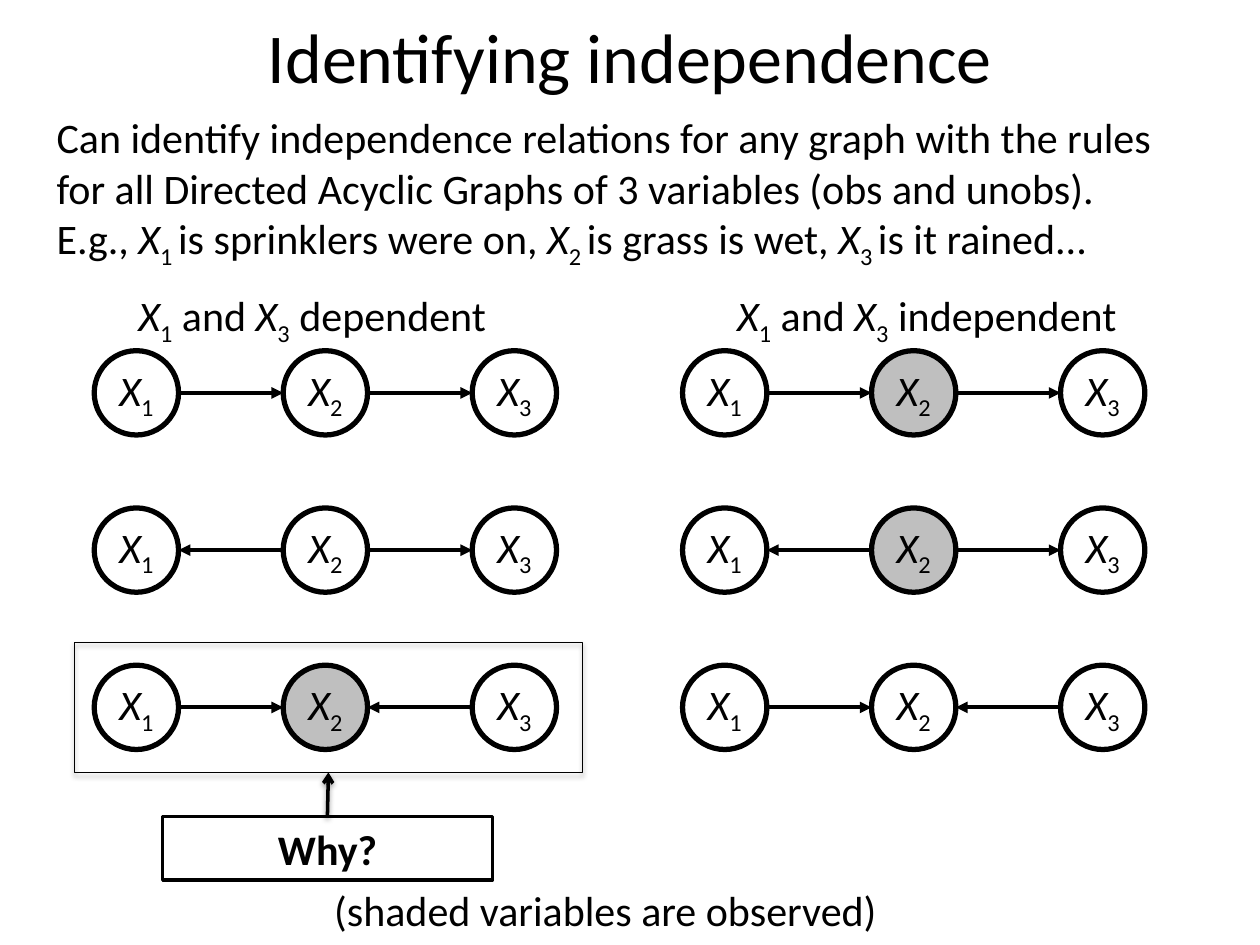
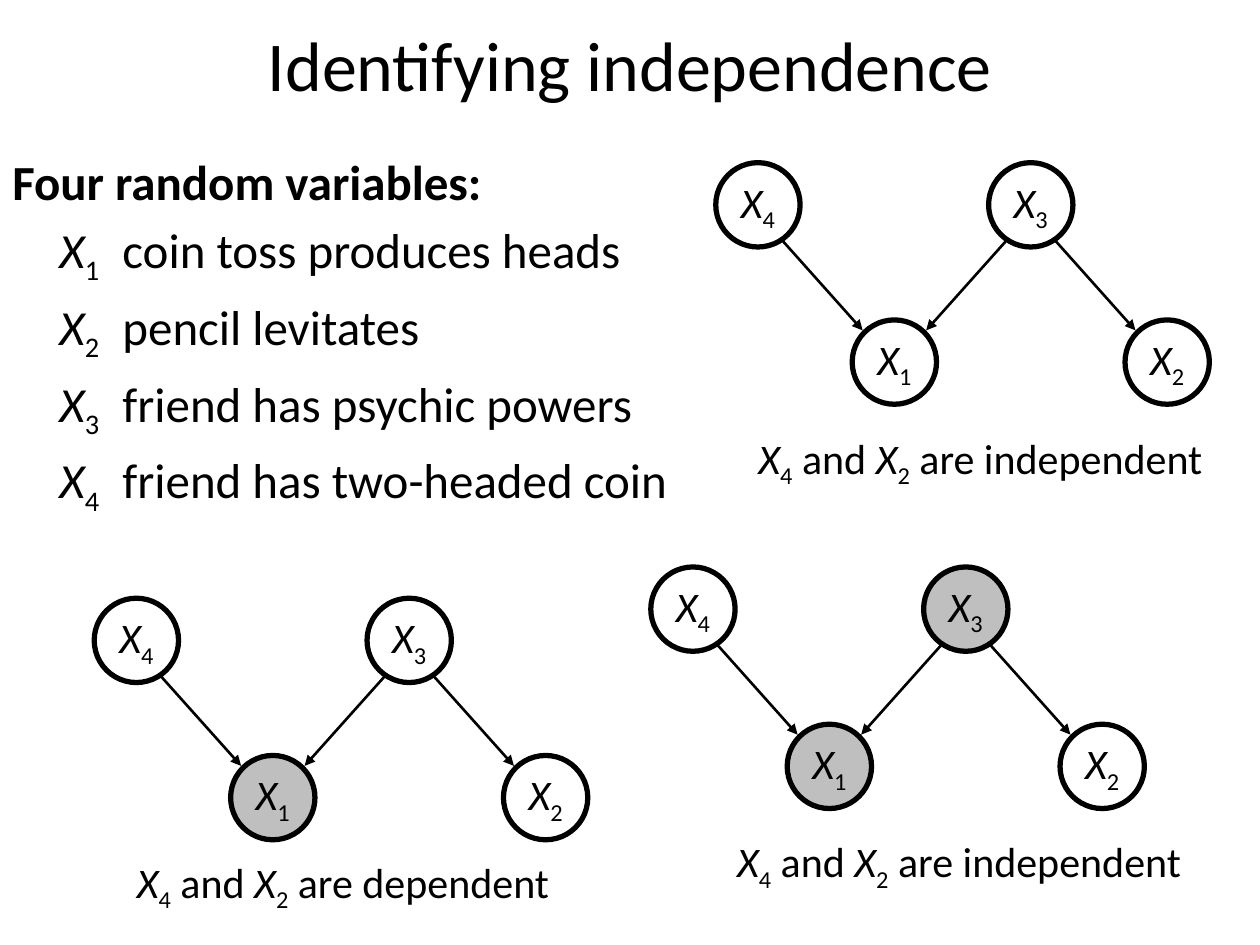
from lxml.etree import SubElement
from pptx import Presentation
from pptx.dml.color import RGBColor
from pptx.enum.shapes import MSO_CONNECTOR, MSO_SHAPE
from pptx.enum.text import MSO_ANCHOR, PP_ALIGN
from pptx.oxml.ns import qn
from pptx.util import Cm, Pt

FONT = "Calibri"
BLACK, WHITE, SHADED = "000000", "FFFFFF", "BFBFBF"
RADIUS = 0.85
CHAIN_STEP = 3.81
ROW_STEP = 3.17
HALF_STEP = 2.75
LEFT, CENTER = PP_ALIGN.LEFT, PP_ALIGN.CENTER


def color(hex_string):
    return RGBColor.from_string(hex_string)


def add_run(paragraph, text, italic=False, subscript=False):
    if not text:
        return
    run = paragraph.add_run()
    run.text = text
    if italic:
        run.font.italic = True
    if subscript:
        run._r.get_or_add_rPr().set("baseline", "-25000")


def write(paragraph, text, size=24, align=LEFT, bold=False):
    paragraph.alignment = align
    font = paragraph.font
    font.name, font.size, font.bold = FONT, Pt(size), bold
    font.color.rgb = color(BLACK)
    start, *variables = text.split("X[")
    add_run(paragraph, start)
    for variable in variables:
        index, _, rest = variable.partition("]")
        add_run(paragraph, "X", italic=True)
        add_run(paragraph, index, subscript=True)
        add_run(paragraph, rest)


def add_text(slide, left, top, width, height, lines, **style):
    box = slide.shapes.add_textbox(Cm(left), Cm(top), Cm(width), Cm(height))
    frame = box.text_frame
    frame.word_wrap = True
    for number, line in enumerate(lines):
        paragraph = frame.add_paragraph() if number else frame.paragraphs[0]
        write(paragraph, line, **style)
    return frame


def add_title(slide, height):
    frame = add_text(slide, 0, 0.1, 25.4, height, ["Identifying independence"],
                     size=40, align=CENTER)
    frame.vertical_anchor = MSO_ANCHOR.MIDDLE


def add_shape(slide, kind, left, top, width, height, fill, line_width):
    shape = slide.shapes.add_shape(kind, Cm(left), Cm(top), Cm(width), Cm(height))
    shape.shadow.inherit = False
    if fill:
        shape.fill.solid()
        shape.fill.fore_color.rgb = color(fill)
    else:
        shape.fill.background()
    shape.line.color.rgb = color(BLACK)
    shape.line.width = Pt(line_width)
    return shape


def add_node(slide, index, x, y, shaded):
    node = add_shape(slide, MSO_SHAPE.OVAL, x - RADIUS, y - RADIUS, 2 * RADIUS,
                     2 * RADIUS, SHADED if shaded else WHITE, 3)
    node.text_frame.word_wrap = False
    write(node.text_frame.paragraphs[0], f"X[{index}]", align=CENTER)


def add_arrow(slide, start, end, width, head="triangle"):
    points = [Cm(value) for value in (*start, *end)]
    arrow = slide.shapes.add_connector(MSO_CONNECTOR.STRAIGHT, *points)
    arrow.line.color.rgb = color(BLACK)
    arrow.line.width = Pt(width)
    SubElement(arrow.line._get_or_add_ln(), qn("a:tailEnd"), type=head)
    SubElement(arrow._element.spPr, qn("a:effectLst"))
    return arrow


def add_shadow(shape, distance, opacity):
    effects = shape._element.spPr.find(qn("a:effectLst"))
    shadow = SubElement(effects, qn("a:outerShdw"), blurRad=str(Pt(3.1)),
                        dist=str(Pt(distance)), dir="5400000", rotWithShape="0")
    tint = SubElement(shadow, qn("a:srgbClr"), val=BLACK)
    SubElement(tint, qn("a:alpha"), val=str(opacity * 1000))


def add_chain(slide, x, y, directions, shaded):
    for position in range(3):
        add_node(slide, position + 1, x + position * CHAIN_STEP, y,
                 shaded and position == 1)
    for position, direction in enumerate(directions):
        first = x + position * CHAIN_STEP
        ends = [(first + RADIUS, y), (first + CHAIN_STEP - RADIUS, y)]
        if direction == "<":
            ends.reverse()
        add_arrow(slide, *ends, 2.25)


def add_network(slide, x, y, shaded=()):
    centers = {4: (x, y), 3: (x + 2 * HALF_STEP, y),
               1: (x + HALF_STEP, y + ROW_STEP), 2: (x + 3 * HALF_STEP, y + ROW_STEP)}
    for parent, child in ((4, 1), (3, 2), (3, 1)):
        (parent_x, parent_y), (child_x, child_y) = centers[parent], centers[child]
        side = 1 if child_x > parent_x else -1
        add_arrow(slide, (parent_x + side * 0.42, parent_y + 0.64),
                  (child_x - side * 0.64, child_y - 0.64), 1.5)
    for index, (node_x, node_y) in centers.items():
        add_node(slide, index, node_x, node_y, index in shaded)


def add_why_callout(slide):
    frame = add_shape(slide, MSO_SHAPE.RECTANGLE, 1.5, 12.95, 10.24, 2.62, None, 0.75)
    add_shadow(frame, 1.8, 35)
    question = add_shape(slide, MSO_SHAPE.RECTANGLE, 3.28, 16.46, 6.65, 1.28, WHITE, 2)
    write(question.text_frame.paragraphs[0], "Why?", align=CENTER, bold=True)
    arrow = add_arrow(slide, (6.6, 16.46), (6.62, 15.57), 2, "arrow")
    add_shadow(arrow, 1.6, 38)


def build_chain_slide(slide):
    add_title(slide, 2.03)
    add_text(slide, 0.89, 2.13, 22.81, 3.33, [
        "Can identify independence relations for any graph with the rules "
        "for all Directed Acyclic Graphs of 3 variables (obs and unobs).",
        "E.g., X[1 ]is sprinklers were on, X[2 ]is grass is wet, X[3 ]is it rained..."])
    add_text(slide, 2.54, 5.72, 7.75, 1.27, ["X[1] and X[3] dependent"])
    add_text(slide, 14.61, 5.72, 8.38, 1.27, ["X[1] and X[3] independent"])
    for row, directions in enumerate((">>", "<>", "><")):
        y = 7.92 + row * ROW_STEP
        collider = directions == "><"
        add_chain(slide, 2.75, y, directions, shaded=collider)
        add_chain(slide, 14.61, y, directions, shaded=not collider)
    add_why_callout(slide)
    add_text(slide, 2.82, 17.7, 18.77, 1.27, ["(shaded variables are observed)"],
             align=CENTER)


def build_network_slide(slide):
    add_title(slide, 2.36)
    frame = add_text(slide, 0, 2.92, 16.59, 7.42, [
        "Four random variables:",
        "X[1]\tcoin toss produces heads",
        "X[2]\tpencil levitates",
        "X[3]\tfriend has psychic powers",
        "X[4]\tfriend has two-headed coin"], size=28)
    heading, *definitions = frame.paragraphs
    heading.font.bold = True
    for paragraph in definitions:
        paragraph.space_before = Pt(5.6)
        properties = paragraph._p.get_or_add_pPr()
        properties.set("marL", str(Cm(2.22)))
        properties.set("indent", str(Cm(-1.27)))
    add_network(slide, 15.28, 4.13)
    add_network(slide, 2.75, 12.91, shaded=(1,))
    add_network(slide, 13.97, 12.28, shaded=(1, 3))
    for left, top, relation in ((15.04, 8.59, "independent"), (2.51, 17.14, "dependent"),
                                (14.61, 16.72, "independent")):
        add_text(slide, left, top, 9.73, 1.27, [f"X[4] and X[2] are {relation}"])


def main():
    presentation = Presentation()
    presentation.slide_width, presentation.slide_height = Cm(25.4), Cm(19.05)
    blank = presentation.slide_layouts[6]
    for build in (build_chain_slide, build_network_slide):
        build(presentation.slides.add_slide(blank))
    presentation.save("out.pptx")


if __name__ == "__main__":
    main()
